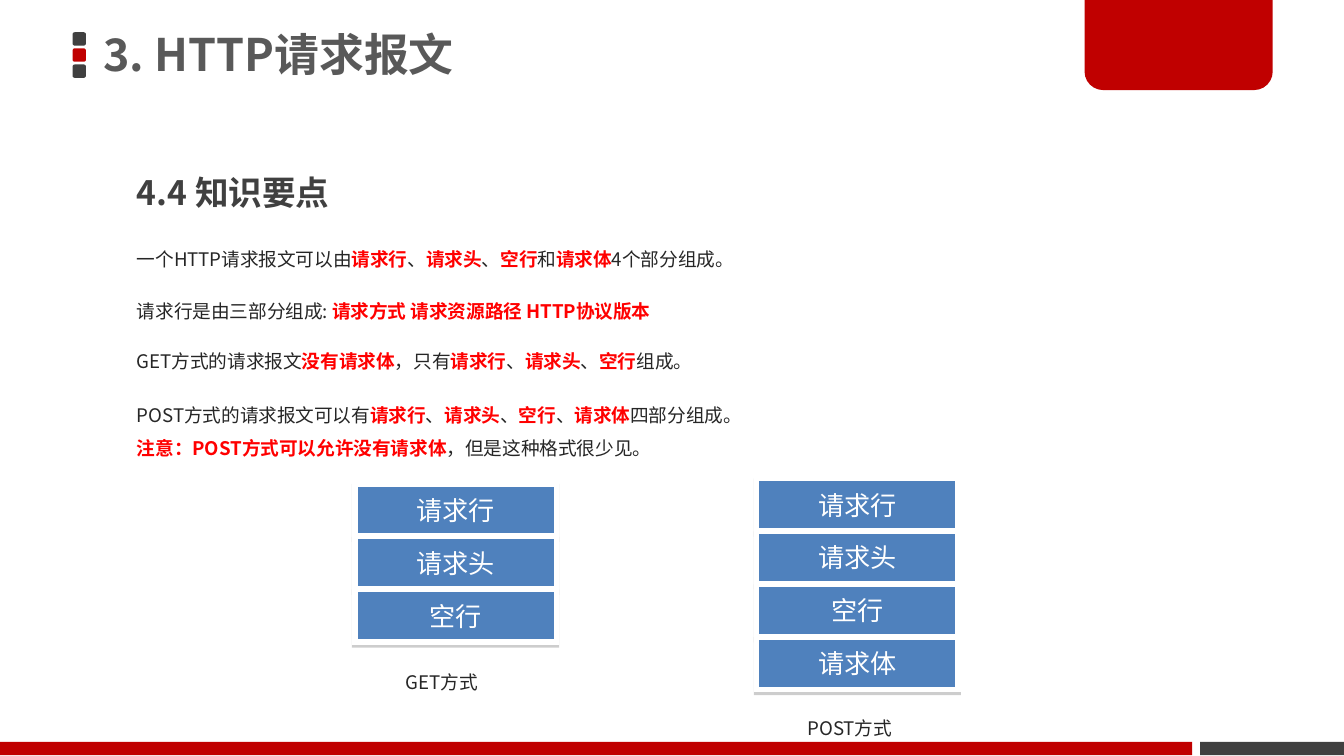
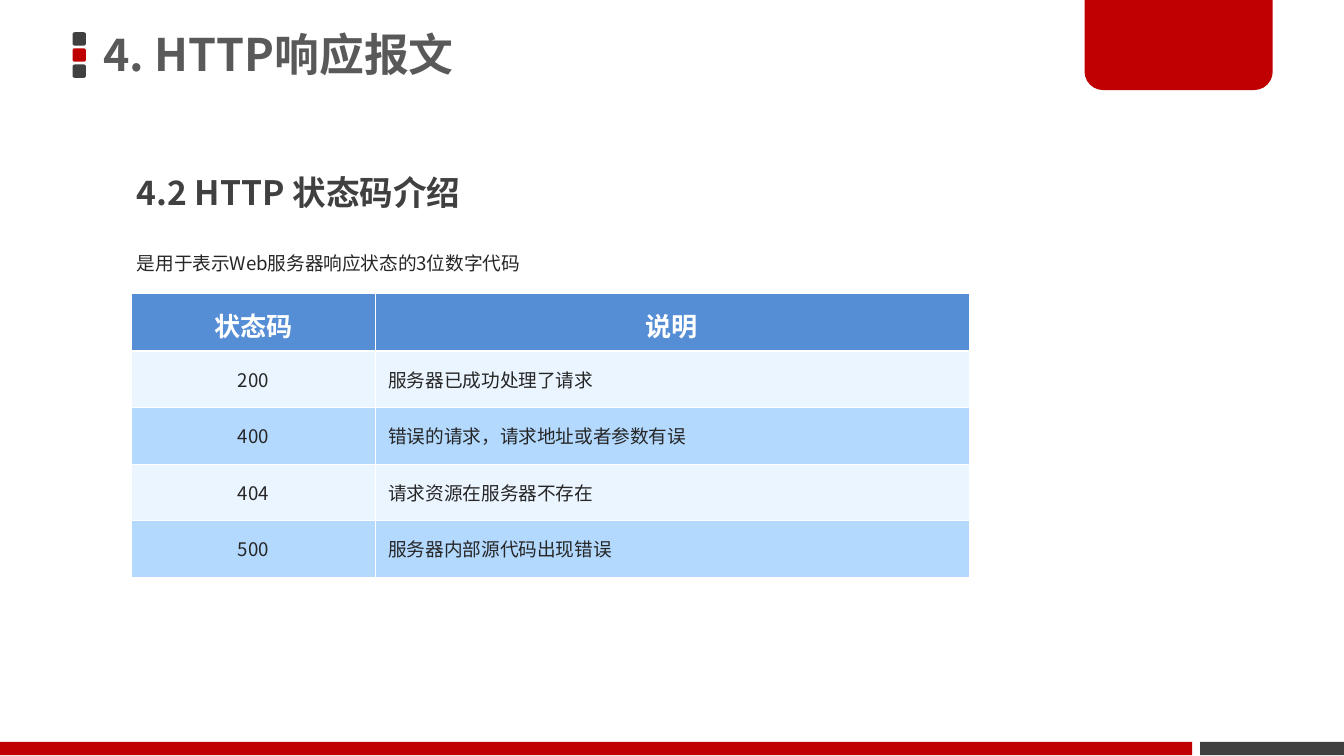
from lxml import etree
from pptx import Presentation
from pptx.dml.color import RGBColor
from pptx.enum.shapes import MSO_SHAPE
from pptx.enum.text import MSO_ANCHOR, PP_ALIGN
from pptx.oxml import parse_xml
from pptx.oxml.ns import qn
from pptx.util import Inches, Pt

RECTANGLE = MSO_SHAPE.RECTANGLE
ROUNDED = MSO_SHAPE.ROUNDED_RECTANGLE
ROUNDED_PAIR = MSO_SHAPE.ROUND_2_SAME_RECTANGLE
MIDDLE, TOP = MSO_ANCHOR.MIDDLE, MSO_ANCHOR.TOP
LEFT, CENTER = PP_ALIGN.LEFT, PP_ALIGN.CENTER

CRIMSON = RGBColor(0xC0, 0x00, 0x00)
CHARCOAL = RGBColor(0x40, 0x40, 0x40)
TITLE_GRAY = RGBColor(0x59, 0x59, 0x59)
BODY = RGBColor(0x26, 0x26, 0x26)
HIGHLIGHT = RGBColor(0xFF, 0x00, 0x00)
WHITE = RGBColor(0xFF, 0xFF, 0xFF)
BLOCK_BLUE = RGBColor(0x4F, 0x81, 0xBD)
HEADER_BLUE = RGBColor(0x55, 0x8E, 0xD5)
ROW_FILLS = (RGBColor(0xEB, 0xF5, 0xFF), RGBColor(0xB3, 0xD9, 0xFF))

SANS = "Noto Sans CJK SC"
BLOCK_FONT = "Calibri"
BLOCK_WIDTH, BLOCK_HEIGHT, BLOCK_STEP = 1.5, 0.39, 1.18 / 3
BLOCK_SHADOW = (
    '<a:effectLst xmlns:a="http://schemas.openxmlformats.org/drawingml/2006/main">'
    '<a:outerShdw dist="20320" dir="5400000" rotWithShape="0">'
    '<a:srgbClr val="808080"><a:alpha val="38000"/></a:srgbClr>'
    "</a:outerShdw></a:effectLst>"
)

REQUEST_PARTS = ["请求行", "请求头", "空行", "请求体"]
REQUEST_POINTS = [
    (1.71, ["一个HTTP请求报文可以由|请求行|、|请求头|、|空行|和|请求体|4个部分组成。"]),
    (2.1, ["请求行是由三部分组成: |请求方式 请求资源路径 HTTP协议版本"]),
    (2.47, ["GET方式的请求报文|没有请求体|，只有|请求行|、|请求头|、|空行|组成。"]),
    (2.87, ["POST方式的请求报文可以有|请求行|、|请求头|、|空行|、|请求体|四部分组成。",
            "|注意：POST方式可以允许没有请求体|，但是这种格式很少见。"]),
]
STATUS_CODES = [
    ("200", "服务器已成功处理了请求"),
    ("400", "错误的请求，请求地址或者参数有误"),
    ("404", "请求资源在服务器不存在"),
    ("500", "服务器内部源代码出现错误"),
]


def style_paragraph(paragraph, size, color, bold=False, name=SANS):
    """Set the font of a whole paragraph, for Latin and Chinese text."""
    font = paragraph.font
    font.size, font.bold, font.name = Pt(size), bold, name
    font.color.rgb = color
    if name == SANS:
        defaults = paragraph._p.pPr.find(qn("a:defRPr"))
        etree.SubElement(defaults, qn("a:ea")).set("typeface", name)


def add_marked_runs(paragraph, text):
    """Add runs, highlighting every second part between bars."""
    for index, part in enumerate(text.split("|")):
        if part:
            run = paragraph.add_run()
            run.text = part
            if index % 2:
                run.font.bold = True
                run.font.color.rgb = HIGHLIGHT


def add_text(slide, left, top, width, height, lines, size=10, color=BODY,
             bold=False, spacing=1.5, anchor=TOP, margins=(0.1, 0.05)):
    """Add a text box with one paragraph per line."""
    box = slide.shapes.add_textbox(Inches(left), Inches(top), Inches(width), Inches(height))
    frame = box.text_frame
    frame.word_wrap = True
    frame.vertical_anchor = anchor
    frame.margin_left = frame.margin_right = Inches(margins[0])
    frame.margin_top = frame.margin_bottom = Inches(margins[1])
    for index, line in enumerate(lines):
        paragraph = frame.add_paragraph() if index else frame.paragraphs[0]
        paragraph.line_spacing = spacing
        style_paragraph(paragraph, size, color, bold)
        add_marked_runs(paragraph, line)


def add_panel(slide, kind, left, top, width, height, fill):
    """Add a flat filled shape without outline."""
    shape = slide.shapes.add_shape(kind, Inches(left), Inches(top), Inches(width), Inches(height))
    shape.shadow.inherit = False
    shape.fill.solid()
    shape.fill.fore_color.rgb = fill
    shape.line.fill.background()
    return shape


def add_framed_slide(presentation, title, heading):
    """Add a slide with the shared bands, title and section heading."""
    slide = presentation.slides.add_slide(presentation.slide_layouts[6])
    for index, color in enumerate((CHARCOAL, CRIMSON, CHARCOAL)):
        add_panel(slide, ROUNDED, 0.54, 0.24 + 0.12 * index, 0.1, 0.1, color)
    add_panel(slide, RECTANGLE, 8.93, 5.52, 1.07, 0.1, CHARCOAL)
    corner = add_panel(slide, ROUNDED_PAIR, 8.07, -0.02, 1.4, 0.69, CRIMSON)
    corner.adjustments[0] = 0
    corner.adjustments[1] = 0.2
    add_panel(slide, RECTANGLE, 0, 5.52, 8.87, 0.1, CRIMSON)
    add_text(slide, 0.69, -0.02, 5.89, 0.89, [title], 24, TITLE_GRAY, True,
             spacing=0.9, anchor=MIDDLE, margins=(0.08, 0.04))
    add_text(slide, 0.92, 1.08, 4.83, 0.55, [heading], 18, CHARCOAL, True)
    return slide


def add_message_stack(slide, left, top, parts, caption, caption_top):
    """Stack the parts of a request message above a caption."""
    for index, part in enumerate(parts):
        block = add_panel(slide, RECTANGLE, left, top + BLOCK_STEP * index,
                          BLOCK_WIDTH, BLOCK_HEIGHT, BLOCK_BLUE)
        block.line.color.rgb = WHITE
        block.line.width = Pt(3)
        properties = block._element.spPr
        etree.SubElement(properties.find(qn("a:ln")), qn("a:miter"), lim="800000")
        properties.replace(properties.find(qn("a:effectLst")), parse_xml(BLOCK_SHADOW))
        frame = block.text_frame
        frame.vertical_anchor = MIDDLE
        paragraph = frame.paragraphs[0]
        paragraph.text = part
        paragraph.alignment = CENTER
        style_paragraph(paragraph, 14, WHITE, name=BLOCK_FONT)
    add_text(slide, left + 0.28, caption_top, 0.93, 0.35, [caption])


def set_cell_borders(cell, widths):
    """Draw white borders of the given point widths by side."""
    properties = cell._tc.get_or_add_tcPr()
    for index, (side, width) in enumerate(widths.items()):
        line = etree.Element(qn(f"a:ln{side}"), w=str(Pt(width)))
        fill = etree.SubElement(line, qn("a:solidFill"))
        etree.SubElement(fill, qn("a:srgbClr"), val=str(WHITE))
        properties.insert(index, line)


def add_status_table(slide, left, top, column_widths, header, rows):
    """Add the table of status codes with striped rows."""
    row_heights = [0.43] + [0.42] * len(rows)
    frame = slide.shapes.add_table(len(row_heights), len(column_widths), Inches(left), Inches(top),
                                   Inches(sum(column_widths)), Inches(sum(row_heights)))
    table = frame.table
    table.first_row = table.horz_banding = False
    for column, width in zip(table.columns, column_widths):
        column.width = Inches(width)
    for row_index, values in enumerate([header, *rows]):
        is_header = row_index == 0
        table.rows[row_index].height = Inches(row_heights[row_index])
        for column_index, value in enumerate(values):
            cell = table.cell(row_index, column_index)
            cell.fill.solid()
            cell.fill.fore_color.rgb = HEADER_BLUE if is_header else ROW_FILLS[(row_index - 1) % 2]
            cell.vertical_anchor = TOP if is_header else MIDDLE
            set_cell_borders(cell, {"L": 0.45, "R": 0.45,
                                    "T": 1.47 if row_index == 1 else 0.45,
                                    "B": 1.47 if is_header else 0.45})
            paragraph = cell.text_frame.paragraphs[0]
            paragraph.text = value
            paragraph.alignment = CENTER if is_header or column_index == 0 else LEFT
            if is_header:
                paragraph.line_spacing = Pt(24)
                style_paragraph(paragraph, 14, WHITE, True)
            else:
                style_paragraph(paragraph, 10, BODY)


def build_request_slide(presentation):
    """Build the slide on the parts of a request message."""
    slide = add_framed_slide(presentation, "3. HTTP请求报文", "4.4 知识要点")
    for top, lines in REQUEST_POINTS:
        add_text(slide, 0.92, top, 7.94, 0.35 if len(lines) == 1 else 0.6, lines)
    add_message_stack(slide, 5.63, 3.56, REQUEST_PARTS, "POST方式", 5.2)
    add_message_stack(slide, 2.64, 3.6, REQUEST_PARTS[:3], "GET方式", 4.86)


def build_response_slide(presentation):
    """Build the slide on response status codes."""
    slide = add_framed_slide(presentation, "4. HTTP响应报文", "4.2 HTTP 状态码介绍")
    add_text(slide, 0.92, 1.74, 7.94, 0.35, ["是用于表示Web服务器响应状态的3位数字代码"])
    add_status_table(slide, 0.98, 2.18, (1.81, 4.42), ("状态码", "说明"), STATUS_CODES)


def main():
    """Build and save the presentation."""
    presentation = Presentation()
    presentation.slide_width = Inches(10)
    presentation.slide_height = Inches(10 * 9 / 16)
    build_request_slide(presentation)
    build_response_slide(presentation)
    presentation.save("out.pptx")


if __name__ == "__main__":
    main()
